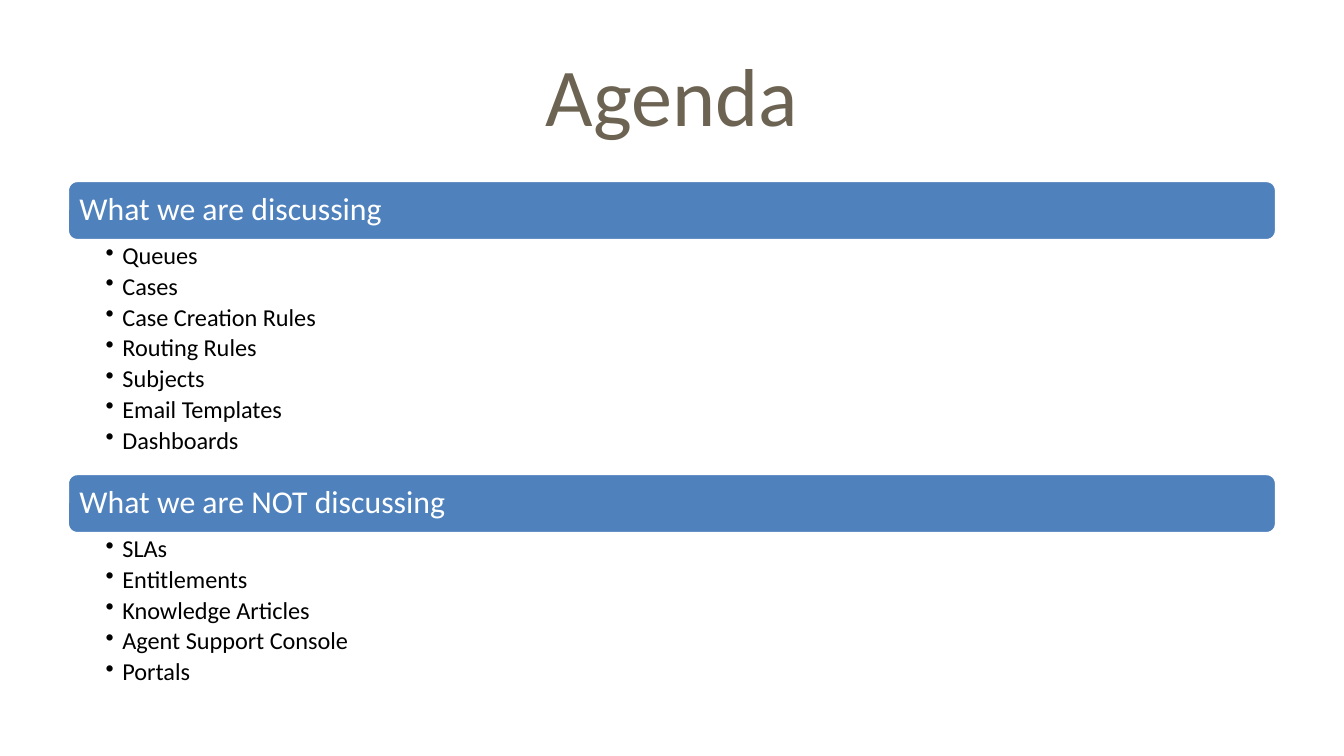
from pptx import Presentation
from pptx.dml.color import RGBColor
from pptx.enum import shapes, text
from pptx.oxml.ns import qn
from pptx.util import Pt

WHITE = RGBColor(0xFF, 0xFF, 0xFF)
BLACK = RGBColor(0, 0, 0)
BLUE = RGBColor(0x4F, 0x81, 0xBD)
BROWN = RGBColor(0x6C, 0x63, 0x52)

LEFT, WIDTH, BAR_H = 36, 648, 32.4
SECTIONS = [
    ("What we are discussing", 124.6,
     ["Queues", "Cases", "Case Creation Rules", "Routing Rules",
      "Subjects", "Email Templates", "Dashboards"]),
    ("What we are NOT discussing", 88.6,
     ["SLAs", "Entitlements", "Knowledge Articles",
      "Agent Support Console", "Portals"]),
]


def set_frame(tf, anchor, left, top, right, bottom):
    tf.word_wrap = True
    tf.vertical_anchor = anchor
    tf.margin_left, tf.margin_top = Pt(left), Pt(top)
    tf.margin_right, tf.margin_bottom = Pt(right), Pt(bottom)


def style(p, size, color, align=text.PP_ALIGN.LEFT):
    p.alignment = align
    for r in p.runs:
        r.font.name = "Calibri"
        r.font.size = Pt(size)
        r.font.color.rgb = color


prs = Presentation()
prs.slide_width, prs.slide_height = Pt(720), Pt(405)
s = prs.slides.add_slide(prs.slide_layouts[6])

title = s.shapes.add_textbox(Pt(LEFT), Pt(16.5), Pt(WIDTH), Pt(67.5))
tf = title.text_frame
set_frame(tf, text.MSO_ANCHOR.MIDDLE, 7.2, 3.6, 7.2, 3.6)
tf.text = "Agenda"
style(tf.paragraphs[0], 44, BROWN, text.PP_ALIGN.CENTER)

top = 96.6
for heading, list_h, items in SECTIONS:
    bar = s.shapes.add_shape(shapes.MSO_SHAPE.ROUNDED_RECTANGLE,
                             Pt(LEFT), Pt(top), Pt(WIDTH), Pt(BAR_H))
    bar.shadow.inherit = False
    bar.fill.solid()
    bar.fill.fore_color.rgb = BLUE
    bar.line.color.rgb = WHITE
    bar.line.width = Pt(2)
    tf = bar.text_frame
    set_frame(tf, text.MSO_ANCHOR.MIDDLE, 5, 5, 5, 5)
    tf.text = heading
    tf.paragraphs[0].line_spacing = 0.9
    style(tf.paragraphs[0], 17, WHITE)
    top += BAR_H

    box = s.shapes.add_textbox(Pt(LEFT), Pt(top), Pt(WIDTH), Pt(list_h))
    tf = box.text_frame
    set_frame(tf, text.MSO_ANCHOR.TOP, 20.6, 1.6, 9.2, 1.6)
    tf.text = "\n".join(items)
    for p in tf.paragraphs:
        p.level = 1
        p.line_spacing = 0.9
        p.space_after = Pt(2.4)
        style(p, 13, BLACK)
        pPr = p._p.get_or_add_pPr()
        pPr.set("marL", str(Pt(9)))
        pPr.set("indent", str(-Pt(9)))
        bullet = pPr.makeelement(qn("a:buChar"), {"char": "•"})
        pPr.append(bullet)
    top += list_h

prs.save("out.pptx")
